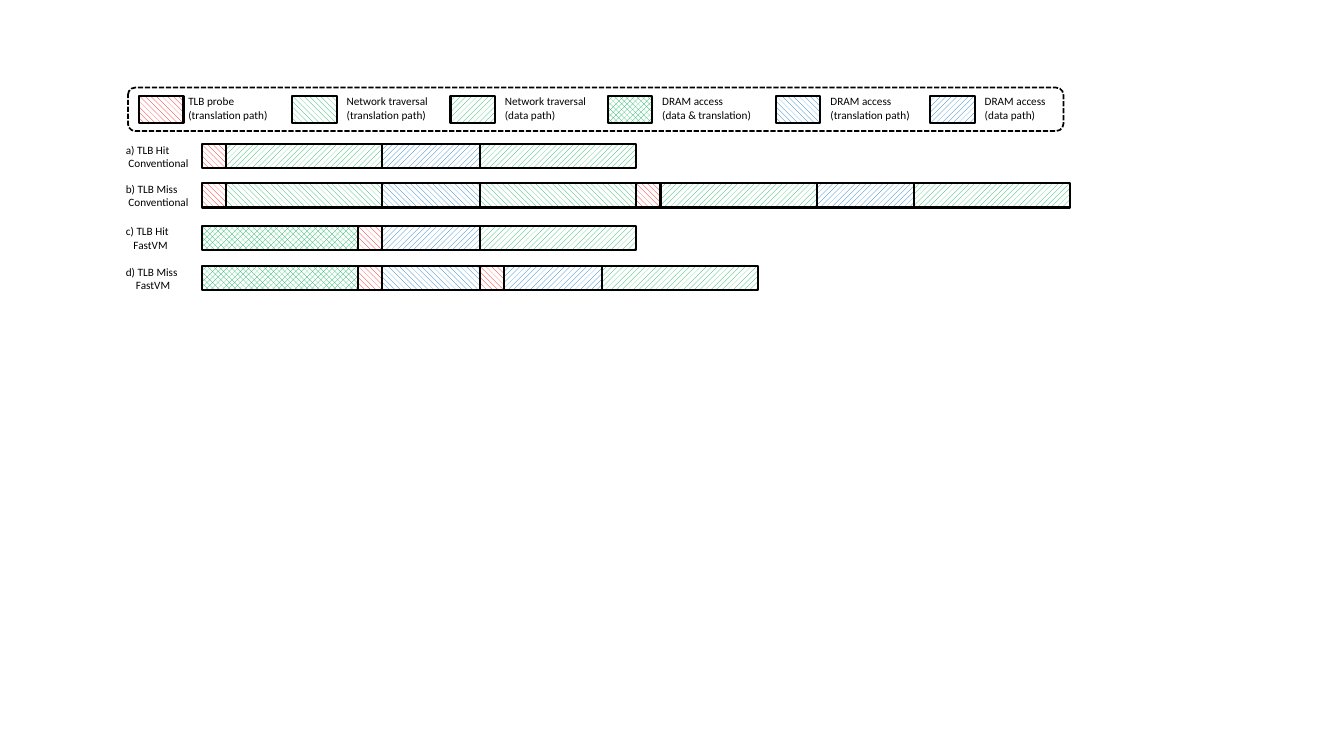
from pptx import Presentation
from pptx.util import Pt
from pptx.dml.color import RGBColor as Rgb
from pptx.enum.dml import MSO_LINE as Dash, MSO_PATTERN as Pat
from pptx.enum.shapes import MSO_SHAPE as Form
from pptx.enum.text import MSO_AUTO_SIZE as Fit

COLORS = {"black": "000000", "white": "FFFFFF", "red": "FF0000",
          "green": "00B050", "blue": "0070C0"}
DOWN, UP, CROSS = Pat.WIDE_DOWNWARD_DIAGONAL, Pat.WIDE_UPWARD_DIAGONAL, Pat.OUTLINED_DIAMOND

PROBE, NET, DRAM = 17.5, 111.6, 69.6
STEPS = {
    "probe": ("red", DOWN, PROBE),
    "net path": ("green", DOWN, NET),
    "net data": ("green", UP, NET),
    "both": ("green", CROSS, NET),
    "dram path": ("blue", DOWN, DRAM),
    "dram data": ("blue", UP, DRAM),
}
KEYS = [
    ("probe", 8, 28, "TLB probe\n(translation path)"),
    ("net path", 117.4, 31.7, "Network traversal\n(translation path)"),
    ("net data", 230.4, 31.7, "Network traversal\n(data path)"),
    ("both", 342.8, 31.7, "DRAM access\n(data & translation)"),
    ("dram path", 463, 31.7, "DRAM access\n(translation path)"),
    ("dram data", 573.2, 31.7, "DRAM access\n(data path)"),
]
ROWS = [
    (103, "a) TLB Hit\nConventional", 1.8,
     ["probe", "net data", "dram data", "net data"]),
    (131, "b) TLB Miss\nConventional", 1.8,
     ["probe", "net path", "dram path", "net path",
      "probe", "net data", "dram data", "net data"]),
    (161.3, "c) TLB Hit\nFastVM", 5.4,
     ["both", "probe", "dram data", "net data"]),
    (190, "d) TLB Miss\nFastVM", 7.2,
     ["both", "probe", "dram path", "probe", "dram data", "net data"]),
]


def color(name):
    return Rgb.from_string(COLORS[name])


def block(slide, form, x, y, w, h, weight):
    shape = slide.shapes.add_shape(form, Pt(x), Pt(y), Pt(w), Pt(h))
    shape.shadow.inherit = False
    shape.line.color.rgb = color("black")
    shape.line.width = Pt(weight)
    return shape


def hatch(slide, step, x, y, w, h):
    hue, style, _ = STEPS[step]
    fill = block(slide, Form.RECTANGLE, x, y, w, h, 1.5).fill
    fill.patterned()
    fill.pattern = style
    fill.fore_color.rgb = color(hue)
    fill.back_color.rgb = color("white")


def label(slide, text, x, y, w, indent=0):
    frame = slide.shapes.add_textbox(Pt(x), Pt(y), Pt(w), Pt(26.6)).text_frame
    frame.word_wrap = True
    frame.auto_size = Fit.SHAPE_TO_FIT_TEXT
    frame.text = text
    for para in frame.paragraphs:
        for run in para.runs:
            run.font.size = Pt(8)
            run.font.name = "Calibri"
            run.font.color.rgb = color("black")
    if indent:
        para._p.get_or_add_pPr().set("marL", str(Pt(indent)))


def legend(slide, x, y, w, h):
    for step, left, gap, text in KEYS:
        hatch(slide, step, x + left, y + 5.8, 31.7, 19.4)
        label(slide, text, x + left + gap, y + 1.5, 90)
    frame = block(slide, Form.ROUNDED_RECTANGLE, x, y, w, h, 1.25)
    frame.fill.background()
    frame.line.dash_style = Dash.SQUARE_DOT


def timeline(slide, x, y, h, text, indent, steps):
    label(slide, text, x, y - 4.3, 85.7, indent)
    left = x + 61.2
    for step in steps:
        width = STEPS[step][2]
        hatch(slide, step, left, y, width, h)
        left += width


deck = Presentation()
deck.slide_width, deck.slide_height = Pt(960), Pt(540)
slide = deck.slides.add_slide(deck.slide_layouts[6])
for top, text, indent, steps in ROWS:
    timeline(slide, 82.8, top, 17.3, text, indent, steps)
legend(slide, 91.4, 62.6, 668.2, 31)
deck.save("out.pptx")
